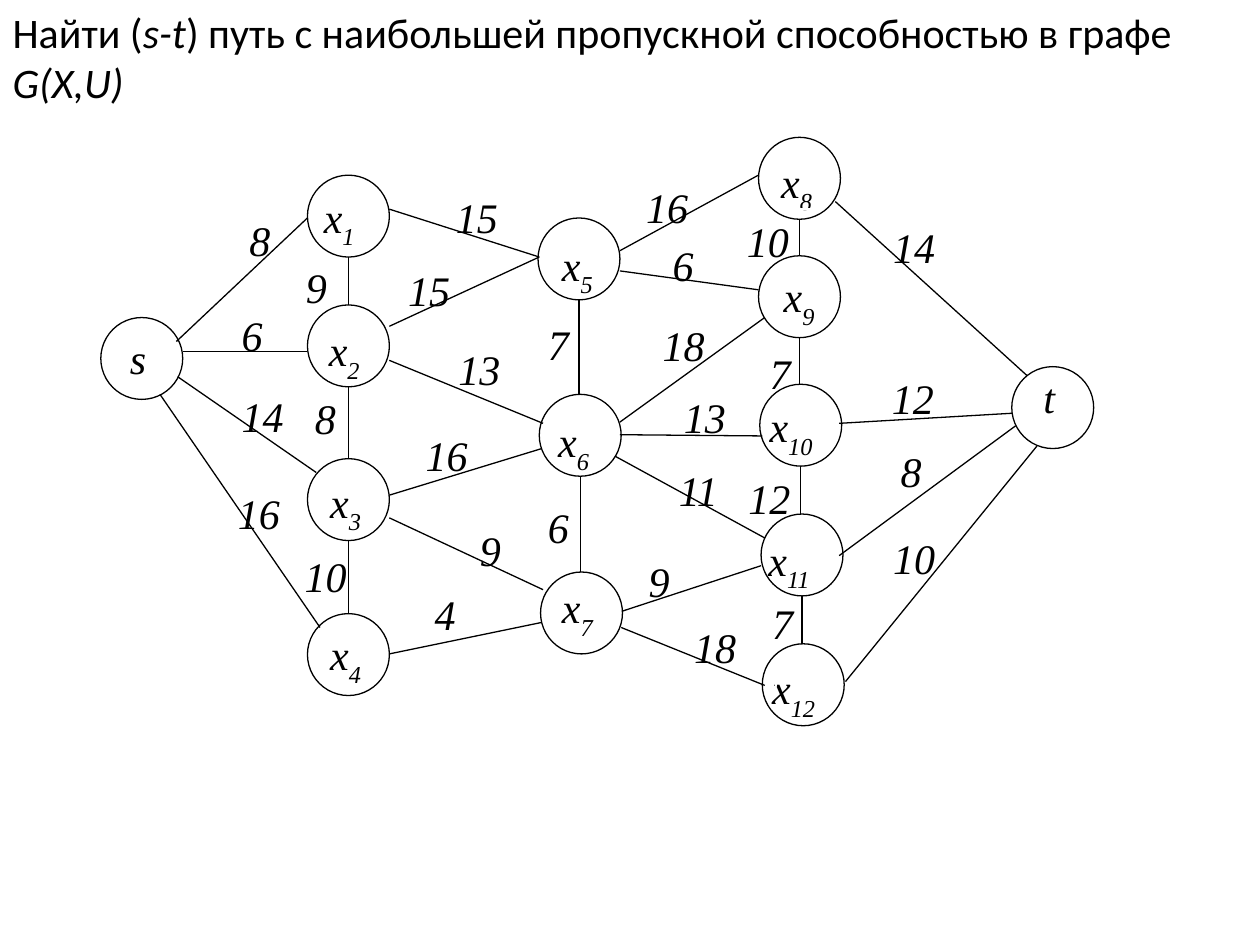
from lxml import etree
from pptx import Presentation
from pptx.dml.color import RGBColor
from pptx.enum.shapes import MSO_CONNECTOR, MSO_SHAPE
from pptx.enum.text import MSO_ANCHOR, MSO_AUTO_SIZE, PP_ALIGN
from pptx.oxml.ns import qn
from pptx.util import Inches, Pt

STRAIGHT = MSO_CONNECTOR.STRAIGHT
RECTANGLE = MSO_SHAPE.RECTANGLE
OVAL = MSO_SHAPE.OVAL
TOP = MSO_ANCHOR.TOP
LEFT = PP_ALIGN.LEFT
NO_AUTOFIT = MSO_AUTO_SIZE.NONE

COLORS = {"ink": "000000", "paper": "FFFFFF"}
TITLE_FORMAT = {"name": "Calibri", "size": Pt(24), "bold": False}
MATH_FORMAT = {"name": "Times New Roman", "size": Pt(24), "italic": True}

DIAMETER = 0.65
LABEL_HEIGHT = 0.57
INSET = 0.1

COLUMNS = [
    [(0.8, 2.52)],
    [(2.44, 1.39), (2.44, 2.42), (2.44, 3.64), (2.44, 4.87)],
    [(4.27, 1.73), (4.28, 3.13), (4.29, 4.54)],
    [(6.02, 1.09), (6.02, 2.03), (6.03, 3.05), (6.04, 4.08), (6.05, 5.11)],
    [(8.03, 2.91)],
]

NODE_LABELS = [
    ("s", "", 0.7, 2.59, 0.75, 0.33),
    ("x", "1", 2.39, 1.47, 0.89, 0.18),
    ("x", "2", 2.43, 2.53, 0.75, 0.18),
    ("x", "3", 2.44, 3.73, 0.75, 0.18),
    ("x", "4", 2.44, 4.94, 0.75, 0.18),
    ("x", "5", 4.28, 1.85, 0.76, 0.18),
    ("x", "6", 4.25, 3.25, 0.76, 0.18),
    ("x", "7", 4.28, 4.57, 0.76, 0.18),
    ("x", "8", 6.02, 1.19, 0.73, 0.18),
    ("x", "9", 6.04, 2.1, 0.73, 0.18),
    ("x", "10", 6.01, 3.13, 0.73, INSET),
    ("x", "11", 6, 4.19, 0.73, INSET),
    ("x", "12", 6.03, 5.21, 0.73, INSET),
    ("t", "", 8.03, 2.9, 0.58, 0.25),
]

CAPACITIES = [
    ("8", 1.88, 1.65, 0.38), ("6", 1.82, 2.41, 0.57),
    ("14", 1.82, 3.05, 0.62), ("16", 1.79, 3.82, 0.65),
    ("9", 2.33, 2.03, 0.75), ("8", 2.4, 3.07, 0.56), ("10", 2.32, 4.32, 0.65),
    ("15", 3.52, 1.47, 0.75), ("15", 3.14, 2.05, 0.64), ("13", 3.54, 2.68, 0.58),
    ("16", 3.28, 3.36, 0.64), ("9", 3.71, 4.11, 0.54), ("4", 3.35, 4.62, 0.58),
    ("7", 4.25, 2.48, 0.6), ("6", 4.25, 3.93, 0.6),
    ("16", 5.03, 1.39, 0.76), ("6", 5.24, 1.85, 0.53), ("18", 5.16, 2.49, 0.59),
    ("13", 5.33, 3.06, 0.61), ("11", 5.29, 3.64, 0.61),
    ("9", 5.05, 4.36, 0.57), ("18", 5.41, 4.88, 0.75),
    ("10", 5.83, 1.66, 0.63), ("7", 6.01, 2.71, 0.43),
    ("12", 5.84, 3.7, 0.58), ("7", 6.03, 4.69, 0.53),
    ("14", 6.99, 1.71, 0.75), ("12", 6.98, 2.91, 0.65),
    ("8", 7.05, 3.49, 0.59), ("10", 6.99, 4.18, 0.58),
]

EDGES = [
    (1.4, 2.71, 2.44, 1.73), (1.45, 2.79, 2.44, 2.79),
    (1.41, 2.99, 2.51, 3.75), (1.27, 3.13, 2.54, 4.98),
    (3.09, 1.66, 4.28, 2.04), (3.09, 2.59, 4.28, 2.04),
    (3.09, 2.86, 4.31, 3.36), (3.09, 3.93, 4.3, 3.56),
    (3.09, 4.11, 4.31, 4.68), (3.09, 5.19, 4.3, 4.94),
    (4.92, 1.99, 6.02, 1.39), (4.92, 2.15, 6.02, 2.3),
    (4.92, 3.35, 6.07, 2.52), (4.92, 3.45, 6.05, 3.46),
    (4.88, 3.62, 6.07, 4.27), (4.94, 4.85, 6.04, 4.49),
    (4.93, 4.98, 6.07, 5.44),
    (6.63, 1.6, 8.15, 2.98), (6.66, 3.36, 8.03, 3.28),
    (6.66, 4.41, 8.06, 3.38), (6.71, 5.41, 8.23, 3.54),
]


class GraphSlide:
    def __init__(self, presentation):
        self.slide = presentation.slides.add_slide(presentation.slide_layouts[5])
        self.shapes = self.slide.shapes

    def color(self, name):
        return RGBColor.from_string(COLORS[name])

    def outline(self, line, color):
        line.color.rgb = self.color(color)
        line.width = Pt(0.75)

    def run(self, paragraph, text, formats):
        run = paragraph.add_run()
        run.text = text
        for attribute, value in formats.items():
            setattr(run.font, attribute, value)
        run.font.color.rgb = self.color("ink")
        return run

    def title(self, parts):
        shape = self.shapes.title
        place = {"left": 0, "top": 0, "width": 10, "height": 0.91}
        for attribute, value in place.items():
            setattr(shape, attribute, Inches(value))
        frame = shape.text_frame
        frame.word_wrap = True
        frame.auto_size = NO_AUTOFIT
        frame.vertical_anchor = TOP
        paragraph = frame.paragraphs[0]
        paragraph.alignment = LEFT
        for text, italic in parts:
            self.run(paragraph, text, {**TITLE_FORMAT, "italic": italic})

    def shape(self, kind, left, top, width, height, line_color):
        shape = self.shapes.add_shape(
            kind, Inches(left), Inches(top), Inches(width), Inches(height))
        shape.shadow.inherit = False
        shape.fill.background()
        self.outline(shape.line, line_color)
        return shape

    def label(self, text, left, top, width, subscript="", inset=INSET):
        shape = self.shape(RECTANGLE, left, top, width, LABEL_HEIGHT, "paper")
        frame = shape.text_frame
        frame.word_wrap = True
        frame.vertical_anchor = TOP
        frame.margin_left = Inches(inset)
        frame.margin_right = 0
        paragraph = frame.paragraphs[0]
        paragraph.alignment = LEFT
        self.run(paragraph, text, MATH_FORMAT)
        if subscript:
            run = self.run(paragraph, subscript, MATH_FORMAT)
            run.font._element.set("baseline", "-30000")

    def node(self, left, top):
        self.shape(OVAL, left, top, DIAMETER, DIAMETER, "ink")

    def edge(self, *ends):
        connector = self.shapes.add_connector(STRAIGHT, *map(Inches, ends))
        self.outline(connector.line, "ink")
        etree.SubElement(connector._element.spPr, qn("a:effectLst"))


def main():
    presentation = Presentation()
    presentation.slide_width = Inches(10)
    presentation.slide_height = Inches(7.5)
    graph = GraphSlide(presentation)
    graph.title([
        ("Найти (", False),
        ("s-t", True),
        (") путь с наибольшей пропускной способностью в графе ", False),
        ("G(X,U)", True),
    ])
    for letter, subscript, left, top, width, inset in NODE_LABELS:
        graph.label(letter, left, top, width, subscript, inset)
    for capacity in CAPACITIES:
        graph.label(*capacity)
    for column in COLUMNS:
        for left, top in column:
            graph.node(left, top)
        for (left, top), (_, next_top) in zip(column, column[1:]):
            center = left + DIAMETER / 2
            graph.edge(center, top + DIAMETER, center, next_top)
    for edge in EDGES:
        graph.edge(*edge)
    presentation.save("out.pptx")


if __name__ == "__main__":
    main()
